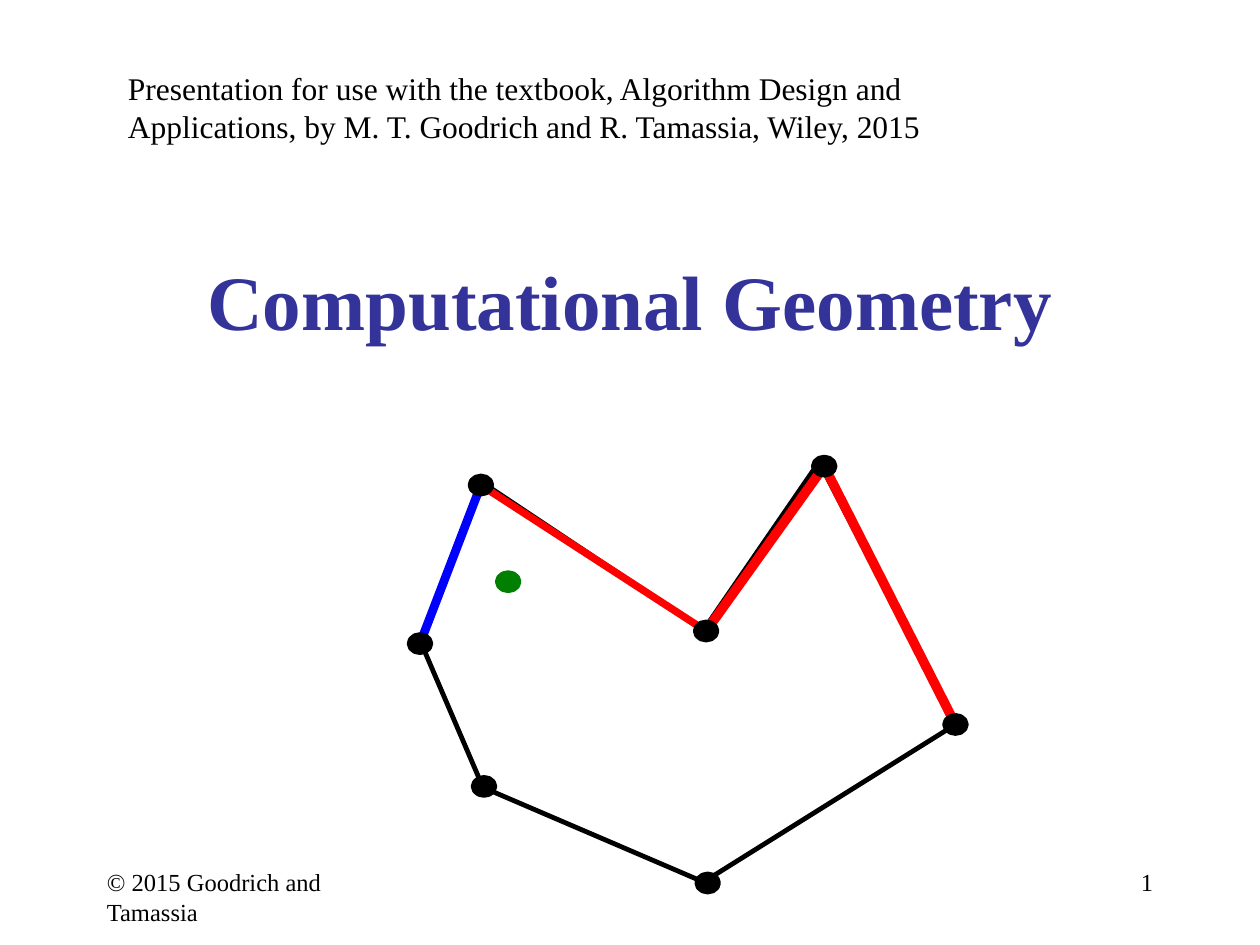
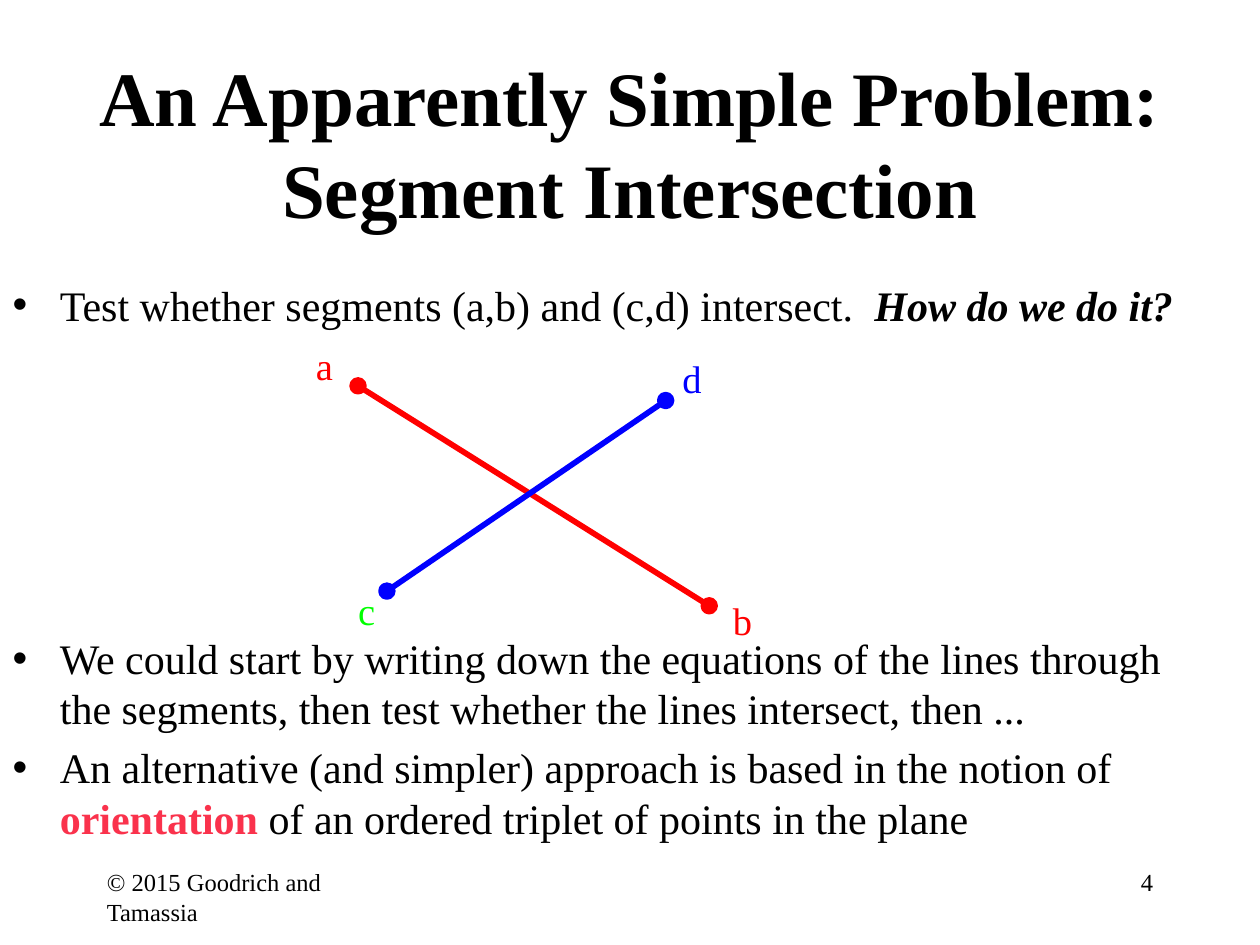
from dataclasses import dataclass

from lxml import etree
from pptx import Presentation, util as u
from pptx.dml.color import RGBColor
from pptx.enum import shapes, text
from pptx.oxml import ns


@dataclass(frozen=True)
class Theme:
    font: str = "Times New Roman"
    ink: str = "000000"
    navy: str = "333399"
    red: str = "FF0000"
    blue: str = "0000FF"
    green: str = "007F00"
    lime: str = "00FF00"
    accent: str = "FA324C"
    title: int = 44
    body: int = 24
    label: int = 22
    note: int = 18
    footer: int = 14


theme = Theme()

deck = Presentation()
deck.slide_width, deck.slide_height = u.Inches(10), u.Inches(7.5)
CELL = deck.slide_width // 120  # the slide is a grid of 120 columns by 90 rows


def cells(*counts):
    return [u.Emu(round(count * CELL)) for count in counts]


def style(para, size, color, bold=False, align=text.PP_ALIGN.LEFT):
    para.alignment = align
    for span in para.runs:
        span.font.name, span.font.size, span.font.bold = theme.font, u.Pt(size), bold
        span.font.color.rgb = RGBColor.from_string(color)


# Slides and titles
cover = deck.slides.add_slide(deck.slide_layouts[5])
problem = deck.slides.add_slide(deck.slide_layouts[1])
for page, heading, color, area in [
    (cover, "Computational Geometry", theme.navy, (9, 21, 102, 15)),
    (problem, "An Apparently Simple Problem: Segment Intersection", theme.ink, (0, 6, 120, 15)),
]:
    title = page.shapes.title
    title.left, title.top, title.width, title.height = cells(*area)
    frame = title.text_frame
    frame.text = heading
    frame.auto_size = text.MSO_AUTO_SIZE.NONE
    frame.vertical_anchor = text.MSO_ANCHOR.MIDDLE
    style(frame.paragraphs[0], theme.title, color, True, text.PP_ALIGN.CENTER)

# Footers and the textbook note
notes = [(cover, "Presentation for use with the textbook, Algorithm Design and Applications, "
          "by M. T. Goodrich and R. Tamassia, Wiley, 2015",
          (11, 6, 87, 13), theme.note, text.PP_ALIGN.LEFT)]
for page, number in [(cover, "1"), (problem, "4")]:
    notes += [
        (page, "© 2015 Goodrich and Tamassia", (9, 82, 25, 6), theme.footer, text.PP_ALIGN.LEFT),
        (page, number, (86, 82, 25, 6), theme.footer, text.PP_ALIGN.RIGHT),
    ]
for page, words, area, size, align in notes:
    box = page.shapes.add_textbox(*cells(*area))
    box.text_frame.word_wrap = True
    box.text_frame.text = words
    style(box.text_frame.paragraphs[0], size, theme.ink, align=align)

# Bullets, with room for the segments after the first one
body = problem.placeholders[1]
body.left, body.top, body.width, body.height = cells(0, 26, 115, 73)
frame = body.text_frame
frame.auto_size = text.MSO_AUTO_SIZE.NONE
frame.vertical_anchor = text.MSO_ANCHOR.TOP
bullets = [
    (0, ["Test whether segments (a,b) and (c,d) intersect.  ", "How do we do it?"]),
    (173, ["We could start by writing down the equations of the lines through the segments, "
           "then test whether the lines intersect, then ..."]),
    (5, ["An alternative (and simpler) approach is based in the notion of ", "orientation",
         " of an ordered triplet of points in the plane"]),
]
for index, (gap, pieces) in enumerate(bullets):
    para = frame.paragraphs[0] if index == 0 else frame.add_paragraph()
    para.space_before = u.Pt(gap)
    for piece in pieces:
        para.add_run().text = piece
    style(para, theme.body, theme.ink)
question = frame.paragraphs[0].runs[1].font
question.bold = question.italic = True
keyword = frame.paragraphs[2].runs[1].font
keyword.bold = True
keyword.color.rgb = RGBColor.from_string(theme.accent)

# Polygon outline on the cover
vertices = [(45.8, 46.2), (67.25, 60.1), (78.5, 44.4), (91, 69),
            (67.4, 84.1), (46.1, 74.9), (40, 61.3)]
builder = cover.shapes.build_freeform(*vertices[0], scale=CELL)
builder.add_line_segments(vertices[1:], close=True)
polygon = builder.convert_to_shape()
polygon.shadow.inherit = False
polygon.fill.background()
polygon.line.width = u.Pt(2.75)
polygon.line.color.rgb = RGBColor.from_string(theme.ink)

# Coloured segments
a, b, c, d = (34.1, 36.75), (67.55, 57.7), (36.85, 56.3), (63.4, 38.15)
segments = [
    (cover, vertices[0], vertices[6], theme.blue, 5),
    (cover, vertices[0], vertices[1], theme.red, 4.25),
    (cover, vertices[1], vertices[2], theme.red, 5.5),
    (cover, vertices[2], vertices[3], theme.red, 5.5),
    (problem, a, b, theme.red, 3.25),
    (problem, c, d, theme.blue, 3.25),
]
for page, start, end, color, width in segments:
    line = page.shapes.add_connector(shapes.MSO_CONNECTOR.STRAIGHT, *cells(*start, *end))
    line.line.width = u.Pt(width)
    line.line.color.rgb = RGBColor.from_string(color)
    etree.SubElement(line.element.spPr, ns.qn("a:effectLst"))

# Points
points = [(cover, spot, theme.ink, 1.85, 1.5, 4) for spot in vertices]
points.append((cover, (48.4, 55.4), theme.green, 1.85, 1.5, 4))
points += [(problem, spot, color, 1.2, 1.2, 2.75)
           for spot, color in [(a, theme.red), (b, theme.red), (c, theme.blue), (d, theme.blue)]]
for page, (x, y), color, width, height, outline in points:
    dot = page.shapes.add_shape(shapes.MSO_SHAPE.OVAL,
                                *cells(x - width / 2, y - height / 2, width, height))
    dot.shadow.inherit = False
    dot.fill.solid()
    dot.fill.fore_color.rgb = dot.line.color.rgb = RGBColor.from_string(color)
    dot.line.width = u.Pt(outline)

# Endpoint labels
for letter, x, y, color in [("a", 30.1, 32.6, theme.red), ("b", 69.8, 56.9, theme.red),
                            ("c", 34.1, 55.9, theme.lime), ("d", 65, 33.8, theme.blue)]:
    frame = problem.shapes.add_textbox(*cells(x, y, 1.75, 4.4)).text_frame
    frame.margin_left = frame.margin_top = frame.margin_right = frame.margin_bottom = 0
    frame.word_wrap = False
    frame.auto_size = text.MSO_AUTO_SIZE.SHAPE_TO_FIT_TEXT
    frame.text = letter
    style(frame.paragraphs[0], theme.label, color)

deck.save("out.pptx")
